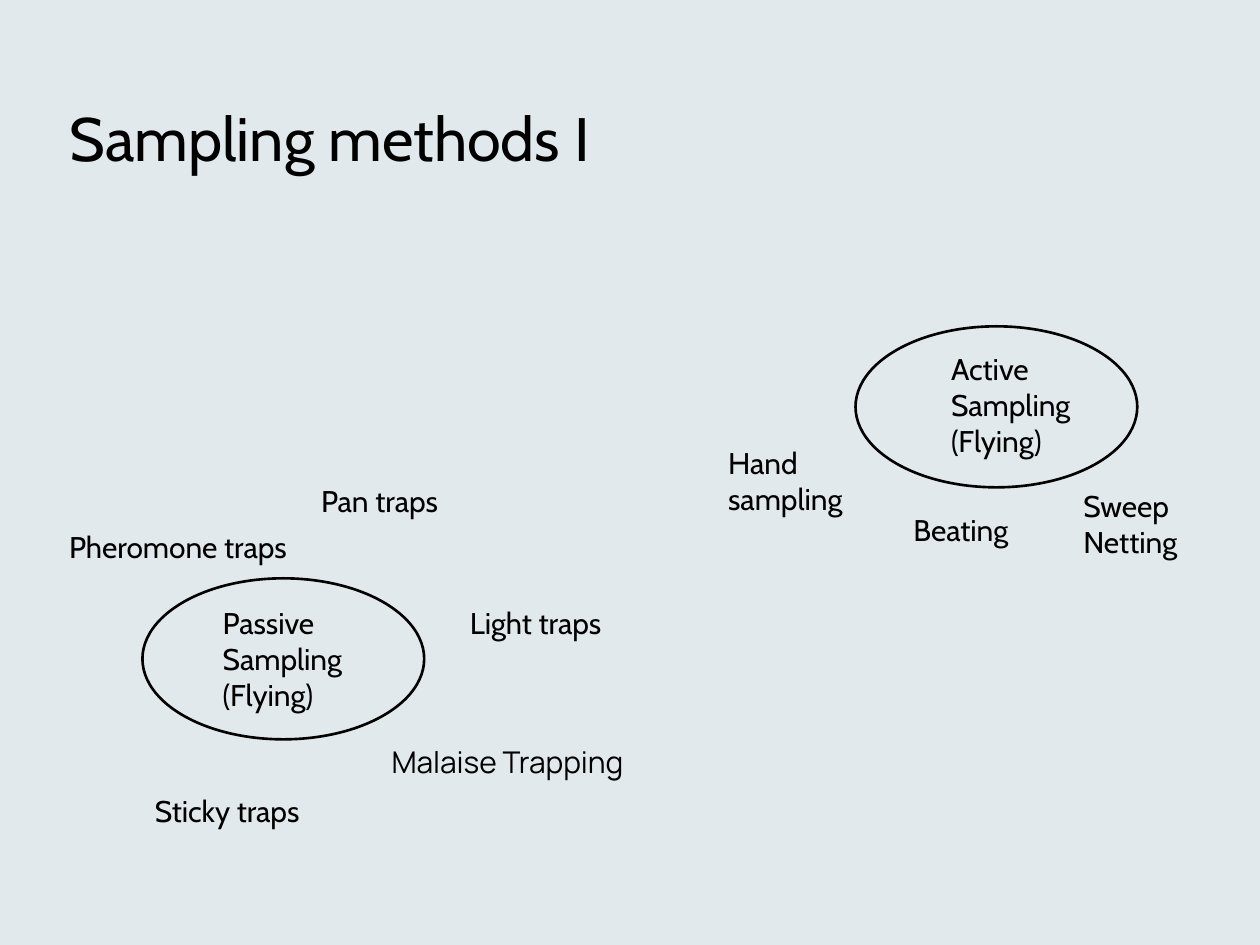
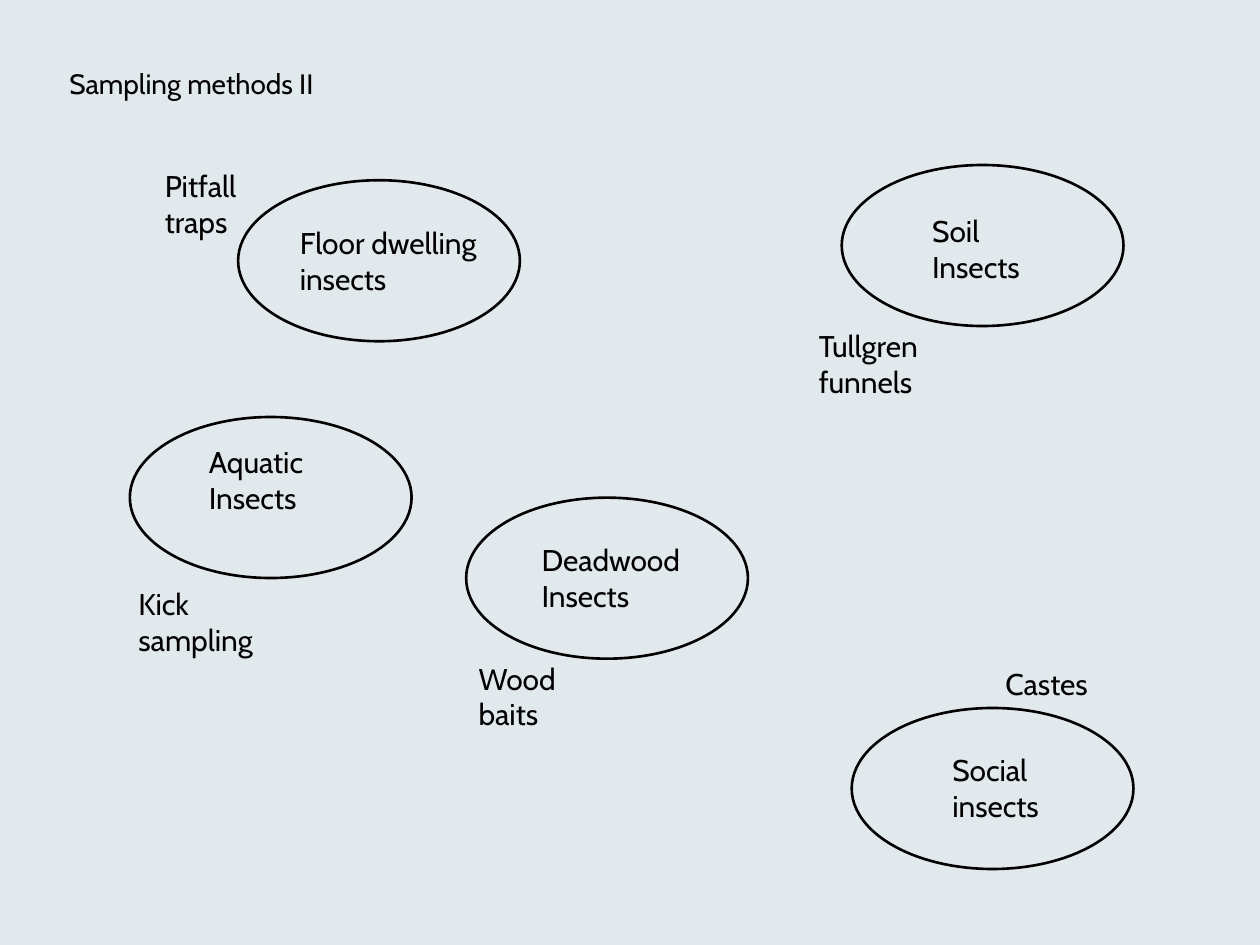
"""Build two slides that map insect sampling methods around their groups."""
from dataclasses import dataclass

from lxml import etree
from pptx import Presentation
from pptx.dml.color import RGBColor
from pptx.enum.shapes import MSO_SHAPE
from pptx.enum.text import MSO_ANCHOR, MSO_AUTO_SIZE, PP_ALIGN
from pptx.oxml.ns import qn
from pptx.util import Pt

RECTANGLE = MSO_SHAPE.RECTANGLE
OVAL = MSO_SHAPE.OVAL
MIDDLE = MSO_ANCHOR.MIDDLE
NO_FIT = MSO_AUTO_SIZE.NONE
GROW = MSO_AUTO_SIZE.SHAPE_TO_FIT_TEXT
LEFT = PP_ALIGN.LEFT

INK = "000000"
PAPER = "F2F2F2"
TINT = "0B76A0"
TINT_OPACITY = 7
FONT = "Cabin"
LABEL_SIZE = 17.1
LINE_HEIGHT = 20.6
LABEL_PADDING = 7.4
PAGE_WIDTH, PAGE_HEIGHT = 720, 540
OVAL_WIDTH, OVAL_HEIGHT = 161, 92
TITLE_LEFT, TITLE_WIDTH = 32.4, 655.2
TITLE_ONLY = 5


@dataclass
class Title:
    text: str
    top: float
    height: float
    size: float


@dataclass
class Oval:
    left: float
    top: float


@dataclass
class Label:
    text: str
    left: float
    top: float
    width: float
    lines: int = 1
    font: str = FONT


@dataclass
class Map:
    title: Title
    ovals: list[Oval]
    labels: list[Label]


MAPS = [
    Map(
        Title("Sampling methods I", 28.8, 104.4, 35),
        [Oval(81.4, 330.5), Oval(488.9, 186.5)],
        [
            Label("Passive Sampling (Flying)", 120.2, 342, 83.5, 3),
            Label("Active Sampling (Flying)", 536.4, 196.6, 83.5, 3),
            Label("Beating", 514.8, 288.7, 75.6),
            Label("Sweep Netting", 612, 275, 75.6, 2),
            Label("Hand sampling", 409, 250.6, 98, 2),
            Label("Pan traps", 176.4, 272.2, 98),
            Label("Light traps", 261.4, 342, 98),
            Label("Malaise Trapping", 216.7, 421.2, 146.9, font="Manrope"),
            Label("Sticky traps", 81.4, 449.3, 122.4),
            Label("Pheromone traps", 32.4, 298.8, 156.2),
        ],
    ),
    Map(
        Title("Sampling methods II", 36, 25.2, 16),
        [Oval(74.2, 238.3), Oval(481, 94.3), Oval(266.4, 284.4),
         Oval(136.1, 103), Oval(486.7, 404.6)],
        [
            Label("Aquatic Insects", 112.3, 249.8, 83.5, 2),
            Label("Soil Insects", 525.6, 118.1, 83.5, 2),
            Label("Deadwood Insects", 302.4, 306, 103, 2),
            Label("Floor dwelling insects", 164.2, 124.6, 133.2, 2),
            Label("Pitfall traps", 87.1, 92.2, 92.2, 2),
            Label("Kick sampling", 72, 331.2, 92.2, 2),
            Label("Wood baits", 266.4, 373.7, 92.2, 2),
            Label("Tullgren funnels", 460.8, 183.6, 92.2, 2),
            Label("Social insects", 537.1, 426.2, 83.5, 2),
            Label("Castes", 567.4, 376.6, 74.2),
        ],
    ),
]


def colour(value: str) -> RGBColor:
    """Return the colour for a hex string."""
    return RGBColor.from_string(value)


def style_text(para, size: float, font: str = FONT) -> None:
    """Format every run of a paragraph."""
    for span in para.runs:
        span.font.size = Pt(size)
        span.font.name = font
        span.font.color.rgb = colour(INK)


def add_background(page):
    """Cover the page with paper and a translucent tint, and return the group."""
    group = page.shapes.add_group_shape()
    for fill in (PAPER, TINT):
        sheet = group.shapes.add_shape(RECTANGLE, 0, 0, Pt(PAGE_WIDTH), Pt(PAGE_HEIGHT))
        sheet.shadow.inherit = False
        sheet.fill.solid()
        sheet.fill.fore_color.rgb = colour(fill)
        sheet.line.fill.background()
    tint = next(sheet.element.spPr.iter(qn("a:srgbClr")))
    etree.SubElement(tint, qn("a:alpha"), val=str(TINT_OPACITY * 1000))
    return group


def add_title(page, title: Title, background) -> None:
    """Place the title placeholder in front of the background."""
    box = page.shapes.title
    background.element.addnext(box.element)
    box.left, box.top = Pt(TITLE_LEFT), Pt(title.top)
    box.width, box.height = Pt(TITLE_WIDTH), Pt(title.height)
    frame = box.text_frame
    frame.text = title.text
    frame.vertical_anchor = MIDDLE
    frame.auto_size = NO_FIT
    para = frame.paragraphs[0]
    para.alignment = LEFT
    para.line_spacing = 0.9
    style_text(para, title.size)


def add_oval(page, oval: Oval) -> None:
    """Draw the outline around one insect group."""
    ring = page.shapes.add_shape(
        OVAL, Pt(oval.left), Pt(oval.top), Pt(OVAL_WIDTH), Pt(OVAL_HEIGHT))
    ring.shadow.inherit = False
    ring.fill.background()
    ring.line.color.rgb = colour(INK)
    ring.line.width = Pt(1.5)


def add_label(page, label: Label) -> None:
    """Write one group or method name."""
    height = LABEL_PADDING + label.lines * LINE_HEIGHT
    box = page.shapes.add_textbox(
        Pt(label.left), Pt(label.top), Pt(label.width), Pt(height))
    frame = box.text_frame
    frame.text = label.text
    frame.word_wrap = True
    frame.auto_size = GROW
    para = frame.paragraphs[0]
    para.space_after = Pt(6)
    style_text(para, LABEL_SIZE, label.font)


def add_map(deck, content: Map) -> None:
    """Add one slide with its title, ovals and labels."""
    page = deck.slides.add_slide(deck.slide_layouts[TITLE_ONLY])
    background = add_background(page)
    add_title(page, content.title, background)
    for oval in content.ovals:
        add_oval(page, oval)
    for label in content.labels:
        add_label(page, label)


def main() -> None:
    """Build and save the deck."""
    deck = Presentation()
    deck.slide_width, deck.slide_height = Pt(PAGE_WIDTH), Pt(PAGE_HEIGHT)
    for content in MAPS:
        add_map(deck, content)
    deck.save("out.pptx")


if __name__ == "__main__":
    main()
